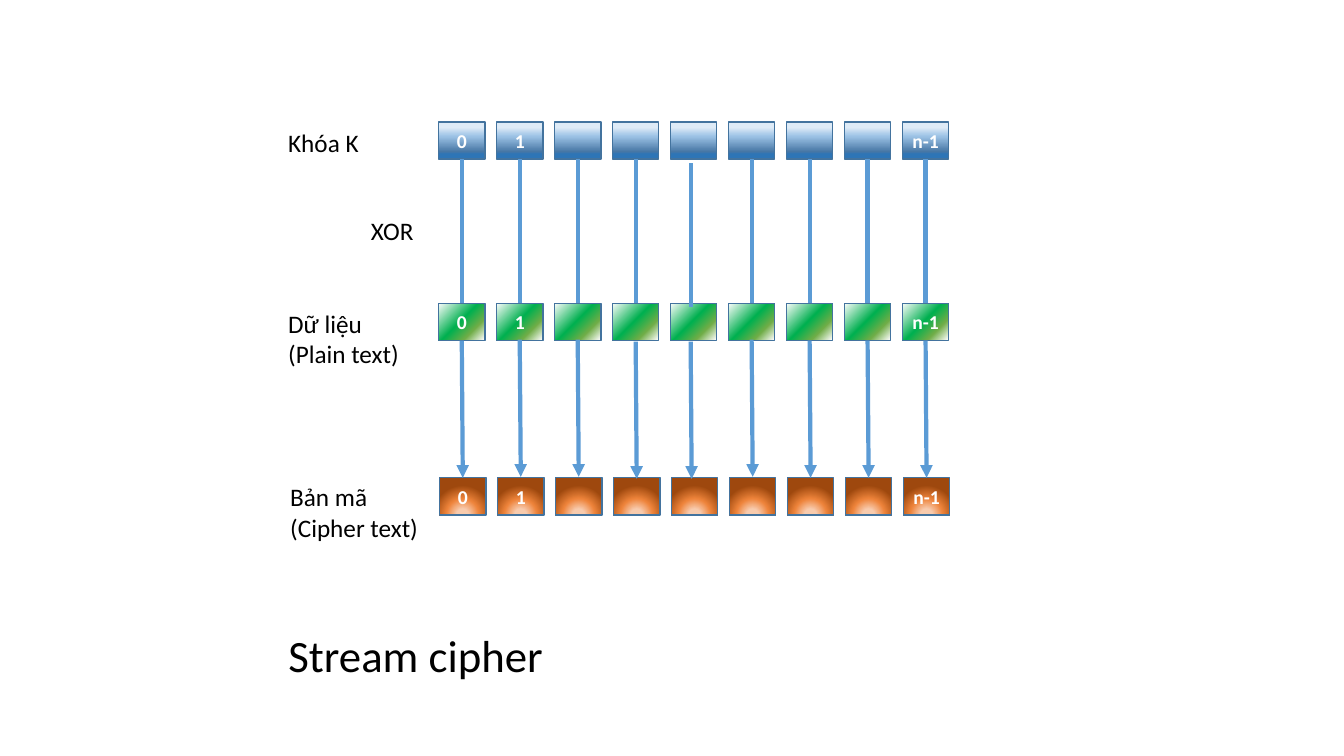
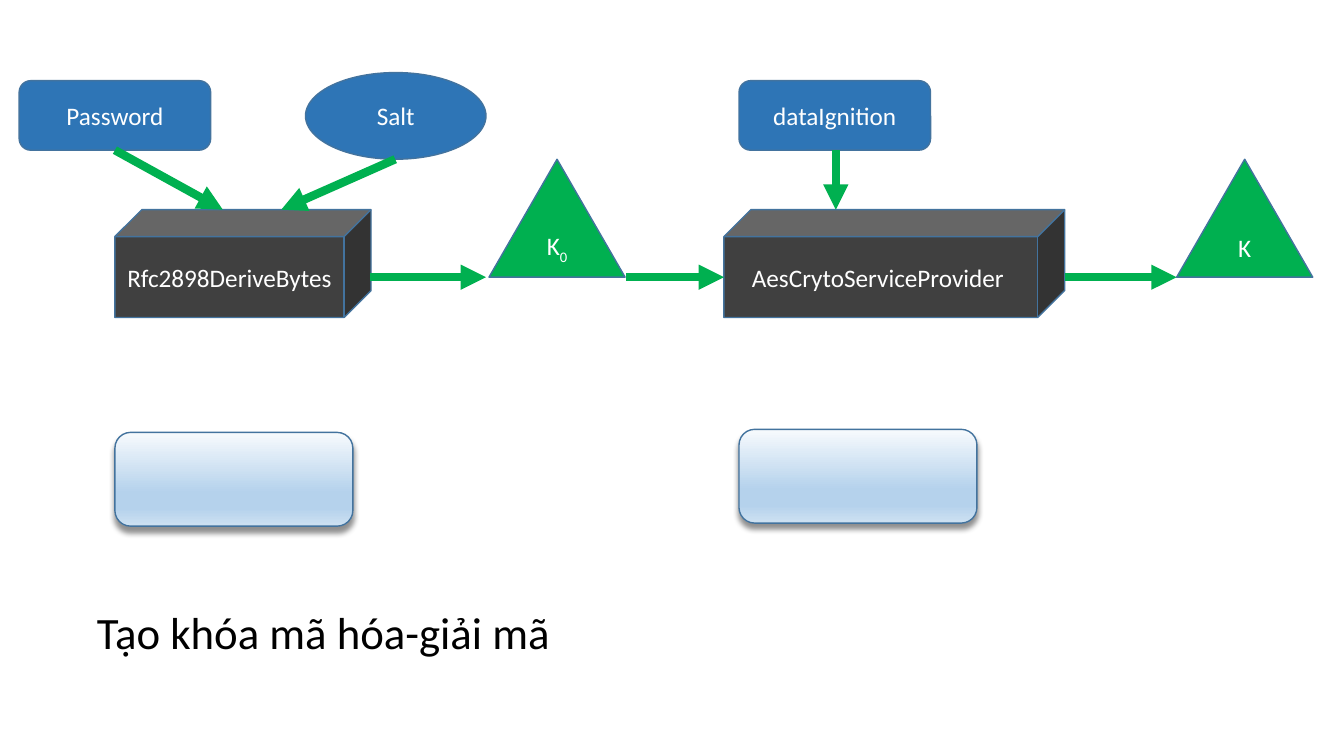
from lxml import etree
from pptx import Presentation
from pptx import util as u
from pptx.dml.color import RGBColor
from pptx.enum import shapes, text
from pptx.oxml import parse_xml
from pptx.oxml.ns import nsdecls, qn

COLORS = {"ink": "000000", "white": "FFFFFF", "border": "43739E", "link": "5B9BD5",
          "input": "2E75B6", "flow": "00B050", "service": "404040"}
GRADIENTS = {
    "key": ([(14, "2E75B6"), (20, "4777A5"), (62, "9DC3E6"), (85, "DEEBF7")], 270),
    "plain": ([(1, "FFFFFF"), (26, "70AD47"), (52, "00B050"), (100, "FFFFFF")], (100, 100, 0, 0)),
    "cipher": ([(21, "F8CBAD"), (55, "EE843B"), (100, "9E480E")], (50, 130, 50, -30)),
    "glass": ([(0, "F7FAFD"), (64, "B5D2EC"), (81, "B5D2EC"), (100, "CEE1F2")], 90),
}
SHAPE = shapes.MSO_SHAPE


class Deck:
    """Holds the shared style and the slide being drawn."""

    def __init__(self):
        self.prs = Presentation()
        self.prs.slide_width, self.prs.slide_height = u.Inches(13.33), u.Inches(7.5)
        self.slide = None

    def start(self, caption, left, top, width):
        self.slide = self.prs.slides.add_slide(self.prs.slide_layouts[5])
        title = self.slide.shapes.title
        title.left, title.top, title.width, title.height = map(u.Inches, (left, top, width, 0.64))
        self.set_words(title.text_frame, caption, 32, "ink")
        title.text_frame.word_wrap = True

    def set_words(self, frame, words, size, color, bold=False,
                  align=text.PP_ALIGN.LEFT, anchor=text.MSO_ANCHOR.TOP):
        frame.text = words
        frame.auto_size = text.MSO_AUTO_SIZE.NONE
        frame.vertical_anchor = anchor
        for paragraph in frame.paragraphs:
            paragraph.alignment = align
            for run in paragraph.runs:
                self.style(run, size, color, bold)

    def style(self, run, size, color, bold=False):
        run.font.name, run.font.size, run.font.bold = "Calibri", u.Pt(size), bold
        run.font.color.rgb = RGBColor.from_string(COLORS[color])

    def label(self, words, left, top, width, height):
        box = self.slide.shapes.add_textbox(*map(u.Inches, (left, top, width, height)))
        self.set_words(box.text_frame, words, 18, "ink")
        box.text_frame.word_wrap = False

    def node(self, kind, fill, words, left, top, width, height, size=18, bold=False):
        node = self.slide.shapes.add_shape(kind, *map(u.Inches, (left, top, width, height)))
        node.shadow.inherit = False
        node.line.color.rgb = RGBColor.from_string(COLORS["border"])
        node.line.width = u.Pt(1)
        if fill in GRADIENTS:
            self.gradient(node, *GRADIENTS[fill])
        else:
            node.fill.solid()
            node.fill.fore_color.rgb = RGBColor.from_string(COLORS[fill])
        if words:
            self.set_words(node.text_frame, words, size, "white", bold,
                           text.PP_ALIGN.CENTER, text.MSO_ANCHOR.MIDDLE)
        return node

    def gradient(self, node, stops, direction):
        stop_xml = "".join(f'<a:gs pos="{at * 1000}"><a:srgbClr val="{color}"/></a:gs>'
                           for at, color in stops)
        if isinstance(direction, tuple):
            sides = " ".join(f'{side}="{inset * 1000}"' for side, inset in zip("ltrb", direction))
            course = f'<a:path path="circle"><a:fillToRect {sides}/></a:path>'
        else:
            course = f'<a:lin ang="{direction * 60000}" scaled="0"/>'
        node.fill.background()
        properties = node._element.spPr
        properties.replace(properties.find(qn("a:noFill")), parse_xml(
            f'<a:gradFill {nsdecls("a")} rotWithShape="1"><a:gsLst>{stop_xml}</a:gsLst>'
            f'{course}</a:gradFill>'))

    def panel(self, left, top):
        panel = self.node(SHAPE.FLOWCHART_ALTERNATE_PROCESS, "glass", "", left, top, 2.36, 0.93)
        panel._element.spPr.find(qn("a:effectLst")).append(parse_xml(
            f'<a:outerShdw {nsdecls("a")} blurRad="{u.Pt(4)}" dist="{u.Pt(4)}" dir="5400000" '
            'algn="ctr" rotWithShape="0"><a:srgbClr val="000000"><a:alpha val="43000"/>'
            '</a:srgbClr></a:outerShdw>'))

    def line(self, start, end, color, width, arrow=True):
        line = self.slide.shapes.add_connector(
            shapes.MSO_CONNECTOR.STRAIGHT, *map(u.Inches, (*start, *end)))
        line.line.color.rgb = RGBColor.from_string(COLORS[color])
        line.line.width = u.Pt(width)
        properties = line._element.spPr
        if arrow:
            etree.SubElement(properties.find(qn("a:ln")), qn("a:tailEnd"), type="triangle")
        etree.SubElement(properties, qn("a:effectLst"))


def stream_cipher(deck):
    deck.start("Stream cipher", 2.76, 6.18, 3.32)
    cells = ["0", "1"] + [""] * 6 + ["n-1"]
    pitch, cell_width, cell_height = 0.575, 0.46, 0.37
    rows = [("key", 4.35, 1.21), ("plain", 4.35, 3.01), ("cipher", 4.36, 4.74)]
    for fill, left, top in rows:
        for column, words in enumerate(cells):
            deck.node(SHAPE.RECTANGLE, fill, words, left + column * pitch, top,
                      cell_width, cell_height, 14, True)
    arrow_shifts = [0, -0.01, -0.01, 0.01, 0.01, -0.01, 0, 0, 0]
    for column, arrow_shift in enumerate(arrow_shifts):
        middle = column == len(cells) // 2
        x = 4.58 + column * pitch - (0.03 if middle else 0)
        drop = 0.04 if middle else 0
        deck.line((x, 1.58 + drop), (x, 3.01 + drop), "link", 3, arrow=False)
        deck.line((x, 3.38 + arrow_shift), (x + 0.01, 4.74 + arrow_shift), "link", 3)
    deck.label("Khóa K", 2.76, 1.21, 0.91, 0.4)
    deck.label("XOR", 3.58, 2.09, 0.63, 0.4)
    deck.label("Dữ liệu\n(Plain text)", 2.76, 3.01, 1.31, 0.71)
    deck.label("Bản mã\n(Cipher text)", 2.78, 4.73, 1.48, 0.71)


def key_derivation(deck):
    deck.start("Tạo khóa mã hóa-giải mã", 0.86, 5.95, 4.75)
    deck.node(SHAPE.ROUNDED_RECTANGLE, "input", "Password", 0.19, 0.8, 1.9, 0.69)
    deck.node(SHAPE.OVAL, "input", "Salt", 3.03, 0.72, 1.79, 0.86)
    deck.node(SHAPE.ROUNDED_RECTANGLE, "input", "dataIgnition", 7.33, 0.8, 1.9, 0.69)
    deck.node(SHAPE.CUBE, "service", "Rfc2898DeriveBytes ", 1.14, 2.08, 2.54, 1.07)
    deck.node(SHAPE.CUBE, "service", "AesCrytoServiceProvider ", 7.18, 2.08, 3.38, 1.07)
    first_key, _ = [deck.node(SHAPE.ISOSCELES_TRIANGLE, "flow", "K", left, 1.58, 1.35, 1.17)
                    for left in (4.85, 11.67)]
    index = first_key.text_frame.paragraphs[0].add_run()
    index.text = "0"
    deck.style(index, 18, "white")
    index._r.get_or_add_rPr().set("baseline", "-25000")
    for start, end in [((1.14, 1.49), (2.21, 2.08)), ((3.92, 1.58), (2.79, 2.08)),
                       ((8.29, 1.49), (8.29, 2.08)), ((3.67, 2.75), (4.82, 2.75)),
                       ((6.21, 2.75), (7.18, 2.75)), ((10.56, 2.75), (11.67, 2.75))]:
        deck.line(start, end, "flow", 6)
    deck.panel(1.14, 4.29)
    deck.panel(7.33, 4.26)


deck = Deck()
stream_cipher(deck)
key_derivation(deck)
deck.prs.save("out.pptx")
